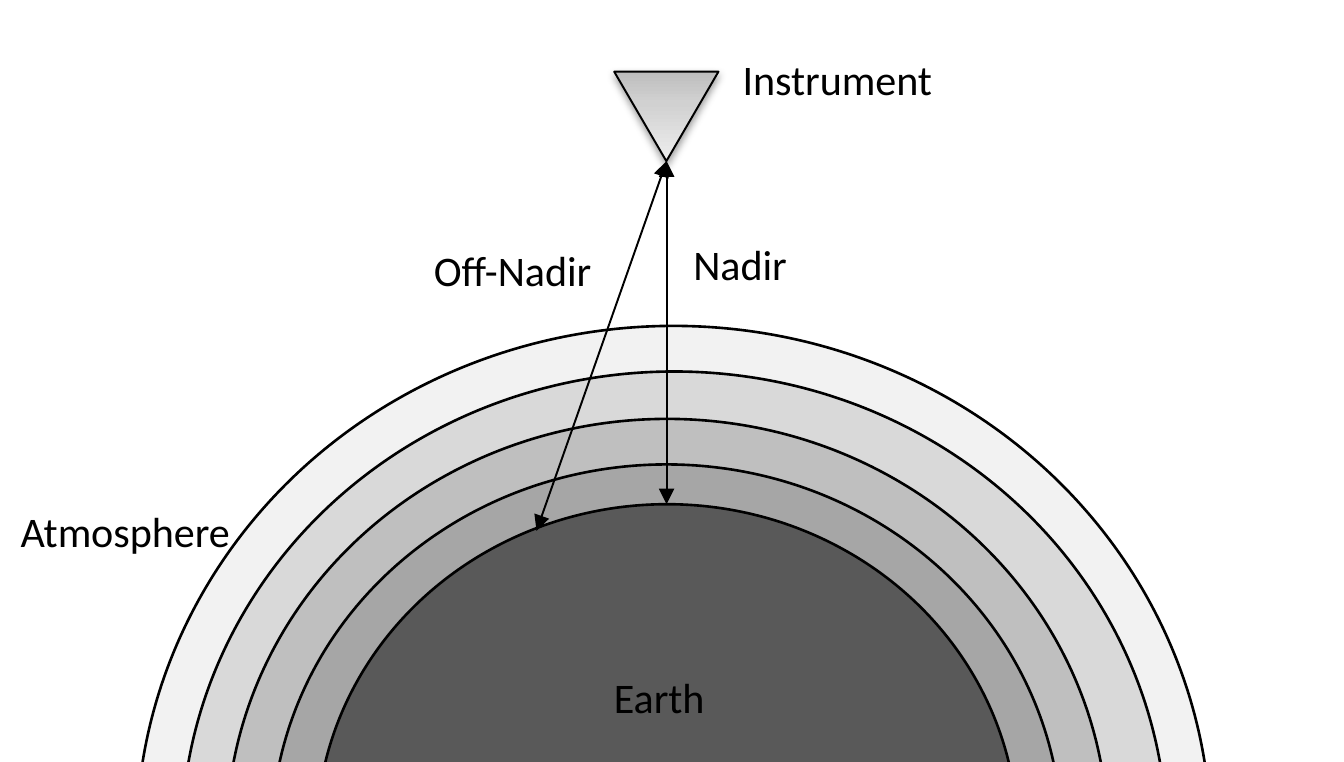
from copy import deepcopy

from lxml.etree import SubElement
from pptx import Presentation
from pptx.dml.color import RGBColor
from pptx.enum.shapes import MSO_CONNECTOR as Line, MSO_SHAPE as Shape
from pptx.enum.text import MSO_AUTO_SIZE as AutoSize
from pptx.oxml.ns import qn
from pptx.util import Pt

BLACK = RGBColor(0x00, 0x00, 0x00)
FONT = "Calibri"

# Content: atmosphere layers from outside in, ending with Earth
# (top, width, height, fill)
LAYERS = [
    (123.8, 408.2, 391, RGBColor(0xF2, 0xF2, 0xF2)),
    (141.1, 374.4, 357.1, RGBColor(0xD9, 0xD9, 0xD9)),
    (159.1, 334.8, 317.5, RGBColor(0xBF, 0xBF, 0xBF)),
    (176.4, 300.2, 283.7, RGBColor(0xA6, 0xA6, 0xA6)),
    (191.5, 266.4, 252.7, RGBColor(0x59, 0x59, 0x59)),
]
FIRST_LEFT, LEFT_STEP = 51.8, 17.1

# (words, left, top, width)
LABELS = [
    ("Earth", 226.1, 251.3, 49.7),
    ("Atmosphere", 0.7, 188.6, 95),
    ("Nadir", 256.3, 87.1, 50.4),
    ("Instrument", 275, 16.6, 87.1),
    ("Off-Nadir", 157.7, 89.3, 75.6),
]
LABEL_HEIGHT = 26.6

INSTRUMENT = (233.3, 27.2, 39.6, 34)
INSTRUMENT_STOPS = [
    (0, RGBColor(0xBD, 0xBD, 0xBD)),
    (0.35, RGBColor(0xD1, 0xD1, 0xD1)),
    (1, RGBColor(0xEE, 0xEE, 0xEE)),
]
VIEW_POINT = (253.2, 61.2)
GROUND_POINTS = [(253.2, 191.5), (203.8, 201.6)]  # nadir, off-nadir


def points(values):
    return [Pt(value) for value in values]


def add_outlined(page, kind, place, weight):
    shape = page.shapes.add_shape(kind, *points(place))
    shape.shadow.inherit = False
    shape.line.color.rgb = BLACK
    shape.line.width = Pt(weight)
    return shape


def add_instrument(page):
    triangle = add_outlined(page, Shape.ISOSCELES_TRIANGLE, INSTRUMENT, 0.75)
    triangle.rotation = 180
    triangle.fill.gradient()
    triangle.fill.gradient_angle = 90
    properties = triangle._element.spPr

    # Third gradient stop
    stop_list = properties.find(qn("a:gradFill")).find(qn("a:gsLst"))
    stop_list.insert(1, deepcopy(stop_list[0]))
    for stop, (position, color) in zip(triangle.fill.gradient_stops, INSTRUMENT_STOPS):
        stop.position = position
        stop.color.rgb = color

    # Soft shadow below
    shadow = SubElement(properties.find(qn("a:effectLst")), qn("a:outerShdw"),
                        blurRad=str(Pt(3.1)), dist=str(Pt(1.6)),
                        dir="5400000", rotWithShape="0")
    color = SubElement(shadow, qn("a:srgbClr"), val=str(BLACK))
    SubElement(color, qn("a:alpha"), val="38000")


def add_label(page, words, left, top, width):
    box = page.shapes.add_textbox(*points((left, top, width, LABEL_HEIGHT)))
    frame = box.text_frame
    frame.word_wrap = False
    frame.auto_size = AutoSize.SHAPE_TO_FIT_TEXT
    para = frame.paragraphs[0]
    para.text = words
    para.font.name = FONT
    para.font.size = Pt(16)
    para.font.color.rgb = BLACK


def add_sight_line(page, ground):
    arrow = page.shapes.add_connector(Line.STRAIGHT, *points(VIEW_POINT + ground))
    arrow.line.color.rgb = BLACK
    arrow.line.width = Pt(0.75)
    for end in ("a:headEnd", "a:tailEnd"):
        SubElement(arrow.line._get_or_add_ln(), qn(end), type="triangle")
    SubElement(arrow._element.spPr, qn("a:effectLst"))


def main():
    deck = Presentation()
    deck.slide_width, deck.slide_height = points((510.5, 289.4))
    page = deck.slides.add_slide(deck.slide_layouts[6])

    # Atmosphere and Earth
    for index, (top, width, height, color) in enumerate(LAYERS):
        place = (FIRST_LEFT + index * LEFT_STEP, top, width, height)
        layer = add_outlined(page, Shape.OVAL, place, 1)
        layer.fill.solid()
        layer.fill.fore_color.rgb = color

    # Instrument, labels and lines of sight
    add_instrument(page)
    for label in LABELS:
        add_label(page, *label)
    for ground in GROUND_POINTS:
        add_sight_line(page, ground)

    deck.save("out.pptx")


if __name__ == "__main__":
    main()
